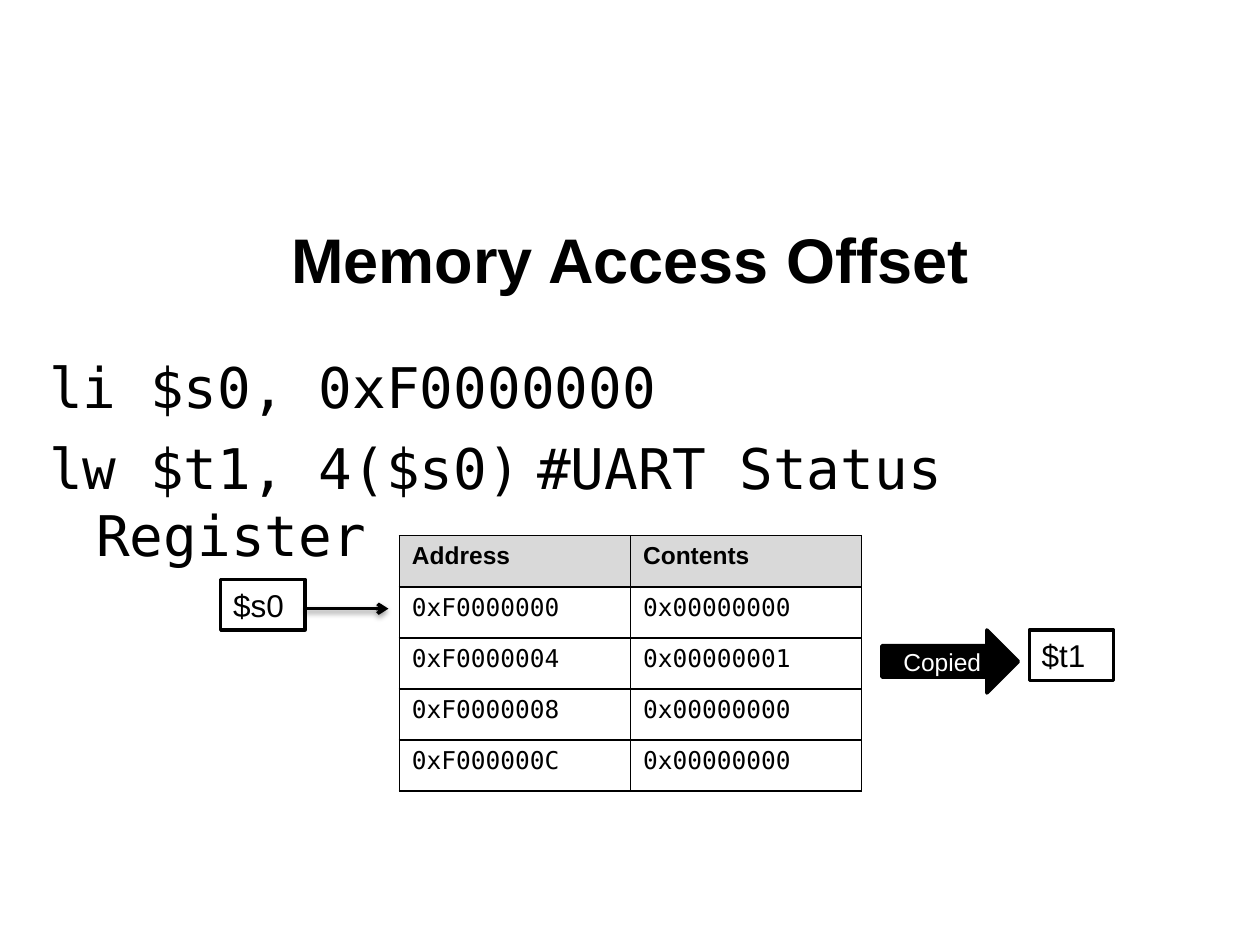
"""Build the slide on memory access with an offset."""
import pptx
import pptx.util
import pptx.dml.color
import pptx.enum.shapes
import pptx.enum.text
import pptx.oxml
import pptx.oxml.ns
from pptx.util import Cm

HUE = {"ink": "000000", "page": "FFFFFF", "head": "D9D9D9"}
SANS, MONO = "Arial", "DejaVu Sans Mono"
TITLE = "Memory Access Offset"
CODE = ["li $s0, 0xF0000000", "lw $t1, 4($s0)\t#UART Status Register"]
ROWS = [
    ("Address", "Contents"),
    ("0xF0000000", "0x00000000"),
    ("0xF0000004", "0x00000001"),
    ("0xF0000008", "0x00000000"),
    ("0xF000000C", "0x00000000"),
]
BOXES = [("$s0", 4.45, 11.68), ("$t1", 20.75, 12.7)]
BOX_W, BOX_H = 1.7, 1.02
COL_W, ROW_H = 4.66, 1.03
HANG = 0.95
LINK = (BOXES[0][1] + BOX_W, 12.27, 7.83, 12.27)

SHAPE = pptx.enum.shapes.MSO_SHAPE
ALIGN = pptx.enum.text.PP_ALIGN
ANCHOR = pptx.enum.text.MSO_ANCHOR
NS = pptx.oxml.ns.nsdecls("a")


def tint(name):
    return pptx.dml.color.RGBColor.from_string(HUE[name])


def add_xml(node, text):
    node.append(pptx.oxml.parse_xml(text))


def write(para, text, size, face=SANS, hue="ink", bold=False, align=ALIGN.LEFT):
    para.alignment = align
    run = para.add_run()
    run.text = text
    run.font.size = pptx.util.Pt(size)
    run.font.name = face
    run.font.bold = bold
    run.font.color.rgb = tint(hue)


def add_text(slide, place, anchor):
    frame = slide.shapes.add_textbox(*map(Cm, place)).text_frame
    frame.word_wrap = True
    frame.vertical_anchor = anchor
    return frame


def add_shape(slide, kind, place, fill=None):
    shape = slide.shapes.add_shape(kind, *map(Cm, place))
    shape.shadow.inherit = False
    if fill:
        shape.fill.solid()
        shape.fill.fore_color.rgb = tint(fill)
    else:
        shape.fill.background()
    shape.line.color.rgb = tint("ink")
    shape.line.width = pptx.util.Pt(2)
    return shape


def add_code(slide):
    frame = add_text(slide, (0.74, 6.99, 23.92, 3.38), ANCHOR.TOP)
    for num, text in enumerate(CODE):
        para = frame.add_paragraph() if num else frame.paragraphs[0]
        write(para, text, 32, MONO)
        para.space_before = pptx.util.Pt(7.4)
        prop = para._p.get_or_add_pPr()
        prop.set("marL", str(Cm(HANG)))
        prop.set("indent", str(-Cm(HANG)))


def add_grid(slide):
    place = (8.05, 10.8, COL_W * len(ROWS[0]), ROW_H * len(ROWS))
    grid = slide.shapes.add_table(len(ROWS), len(ROWS[0]), *map(Cm, place)).table
    for col in grid.columns:
        col.width = Cm(COL_W)
    for num, row in enumerate(ROWS):
        head = num == 0
        grid.rows[num].height = Cm(ROW_H)
        for col, text in enumerate(row):
            cell = grid.cell(num, col)
            write(cell.text_frame.paragraphs[0], text, 14,
                  SANS if head else MONO, bold=head)
            prop = cell._tc.get_or_add_tcPr()
            for side in ("lnL", "lnR", "lnT", "lnB"):
                add_xml(prop, f'<a:{side} {NS} w="12700"><a:solidFill>'
                              f'<a:srgbClr val="{HUE["ink"]}"/></a:solidFill></a:{side}>')
            if head:
                cell.fill.solid()
                cell.fill.fore_color.rgb = tint("head")
            else:
                cell.fill.background()


def add_boxes(slide):
    for text, left, top in BOXES:
        box = add_shape(slide, SHAPE.RECTANGLE, (left, top, BOX_W, BOX_H))
        frame = box.text_frame
        frame.vertical_anchor = ANCHOR.TOP
        frame.auto_size = pptx.enum.text.MSO_AUTO_SIZE.SHAPE_TO_FIT_TEXT
        write(frame.paragraphs[0], text, 18)


def add_link(slide):
    kind = pptx.enum.shapes.MSO_CONNECTOR.STRAIGHT
    link = slide.shapes.add_connector(kind, *map(Cm, LINK))
    link.line.color.rgb = tint("ink")
    link.line.width = pptx.util.Pt(2)
    add_xml(link.line._get_or_add_ln(), f'<a:tailEnd {NS} type="arrow"/>')
    add_xml(link._element.spPr,
            f'<a:effectLst {NS}><a:outerShdw blurRad="40000" dist="20000" '
            f'dir="5400000" rotWithShape="0"><a:srgbClr val="{HUE["ink"]}">'
            f'<a:alpha val="38000"/></a:srgbClr></a:outerShdw></a:effectLst>')


def add_arrow(slide):
    place = (17.78, 12.7, 2.75, 1.27)
    frame = add_shape(slide, SHAPE.RIGHT_ARROW, place, "ink").text_frame
    frame.vertical_anchor = ANCHOR.MIDDLE
    write(frame.paragraphs[0], "Copied", 14, hue="page", align=ALIGN.CENTER)


def main():
    deck = pptx.Presentation()
    deck.slide_width, deck.slide_height = Cm(25.4), Cm(19.05)
    slide = deck.slides.add_slide(deck.slide_layouts[6])
    frame = add_text(slide, (1.27, 3.61, 22.86, 3.18), ANCHOR.MIDDLE)
    write(frame.paragraphs[0], TITLE, 36, bold=True, align=ALIGN.CENTER)
    add_grid(slide)
    add_link(slide)
    add_code(slide)
    add_boxes(slide)
    add_arrow(slide)
    deck.save("out.pptx")


if __name__ == "__main__":
    main()
